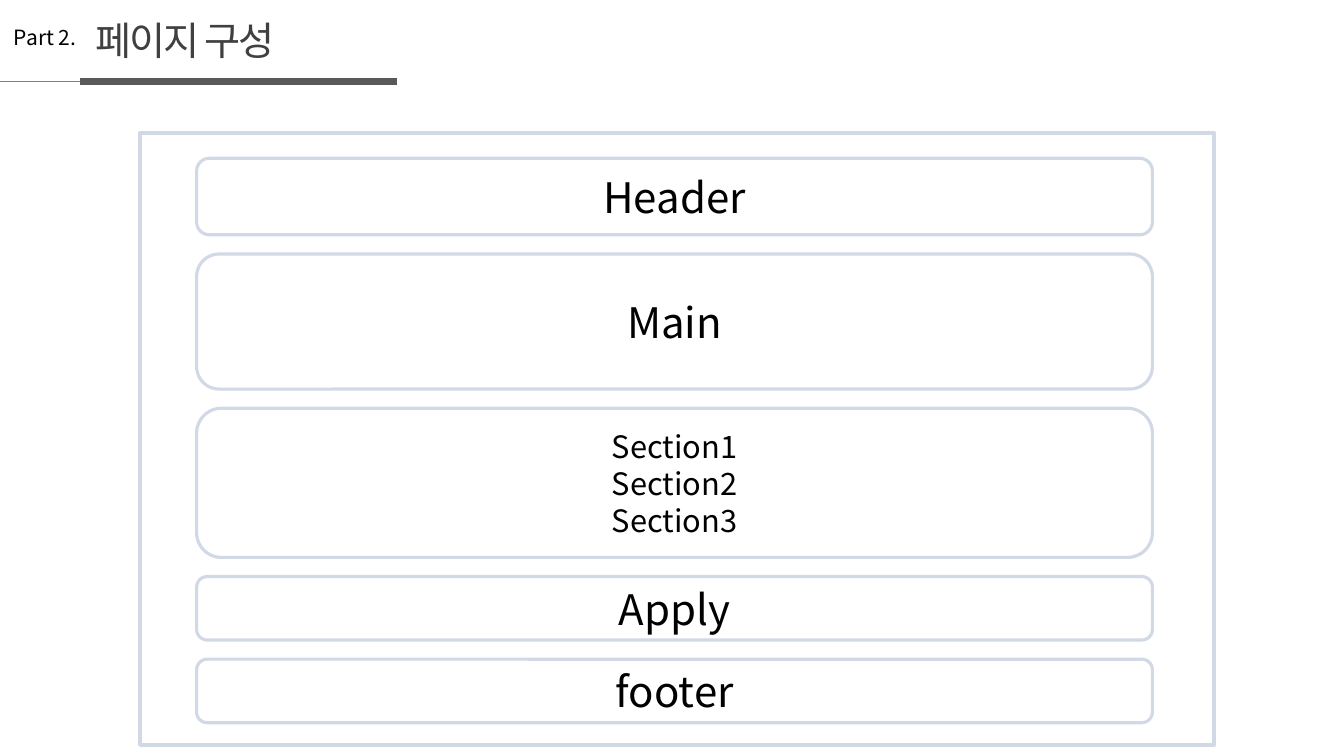
import pptx
import pptx.dml.color
import pptx.enum.shapes
import pptx.enum.text
import pptx.oxml.ns
import pptx.util
from lxml import etree

Inches = pptx.util.Inches
Pt = pptx.util.Pt
RGBColor = pptx.dml.color.RGBColor
Shape = pptx.enum.shapes.MSO_SHAPE

FONT = "Noto Sans CJK KR"
BLACK = RGBColor(0x00, 0x00, 0x00)
TITLE_GRAY = RGBColor(0x40, 0x40, 0x40)
RULE_GRAY = RGBColor(0x59, 0x59, 0x59)
THIN_GRAY = RGBColor(0x80, 0x80, 0x80)
FRAME_BLUE = RGBColor(0xD1, 0xD9, 0xE6)

BLOCK_GAP = 0.19
BLOCKS = [
    (["Header"], 0.76, 30),
    (["Main"], 1.34, 30),
    (["Section1", "Section2", "Section3"], 1.48, 22),
    (["Apply"], 0.63, 30),
    (["footer"], 0.63, 30),
]


def write_line(paragraph, text, size, color, spacing=0):
    run = paragraph.add_run()
    run.text = text
    paragraph.font.size = Pt(size)
    paragraph.font.name = FONT
    paragraph.font.color.rgb = color
    properties = run._r.get_or_add_rPr()
    if spacing:
        properties.set("spc", str(round(spacing * 100)))
    east_asian = etree.SubElement(properties, pptx.oxml.ns.qn("a:ea"))
    east_asian.set("typeface", FONT)


def add_label(slide, left, top, width, height, text, size, color, spacing=0):
    label = slide.shapes.add_textbox(
        Inches(left), Inches(top), Inches(width), Inches(height))
    label.text_frame.word_wrap = False
    write_line(label.text_frame.paragraphs[0], text, size, color, spacing)


def add_rule(slide, left, right, top, color, weight):
    rule = slide.shapes.add_connector(
        pptx.enum.shapes.MSO_CONNECTOR.STRAIGHT,
        Inches(left), Inches(top), Inches(right), Inches(top))
    rule.line.color.rgb = color
    rule.line.width = Pt(weight)
    etree.SubElement(rule._element.spPr, pptx.oxml.ns.qn("a:effectLst"))


def add_outline(slide, kind, left, top, width, height, weight):
    shape = slide.shapes.add_shape(
        kind, Inches(left), Inches(top), Inches(width), Inches(height))
    shape.shadow.inherit = False
    shape.fill.background()
    shape.line.color.rgb = FRAME_BLUE
    shape.line.width = Pt(weight)
    return shape


def add_title_bar(slide, left, top):
    add_rule(slide, left, left + 0.79, top + 0.81, THIN_GRAY, 0.5)
    add_rule(slide, left + 0.79, left + 3.94, top + 0.81, RULE_GRAY, 4.5)
    add_label(slide, left + 0.85, top + 0.11, 2.18, 0.57,
              "페이지 구성", 28, TITLE_GRAY, -1.5)
    add_label(slide, left + 0.04, top + 0.19, 0.82, 0.35, "Part 2.", 15, BLACK)


def add_block(slide, left, top, width, height, lines, size):
    block = add_outline(
        slide, Shape.ROUNDED_RECTANGLE, left, top, width, height, 2.25)
    frame = block.text_frame
    frame.word_wrap = True
    frame.margin_top = frame.margin_bottom = 0
    frame.vertical_anchor = pptx.enum.text.MSO_ANCHOR.MIDDLE
    for index, text in enumerate(lines):
        paragraph = frame.add_paragraph() if index else frame.paragraphs[0]
        paragraph.alignment = pptx.enum.text.PP_ALIGN.CENTER
        write_line(paragraph, text, size, BLACK)


def add_page_layout(slide, left, top, width, height):
    add_outline(slide, Shape.RECTANGLE, left, top, width, height, 3)
    block_top = top + 0.25
    for lines, block_height, size in BLOCKS:
        add_block(slide, left + 0.56, block_top, 9.48, block_height, lines, size)
        block_top += block_height + BLOCK_GAP


def main():
    presentation = pptx.Presentation()
    presentation.slide_width = Inches(13.33)
    presentation.slide_height = Inches(7.5)
    slide = presentation.slides.add_slide(presentation.slide_layouts[6])
    add_title_bar(slide, 0, 0)
    add_page_layout(slide, 1.39, 1.32, 10.65, 6.07)
    presentation.save("out.pptx")


if __name__ == "__main__":
    main()
